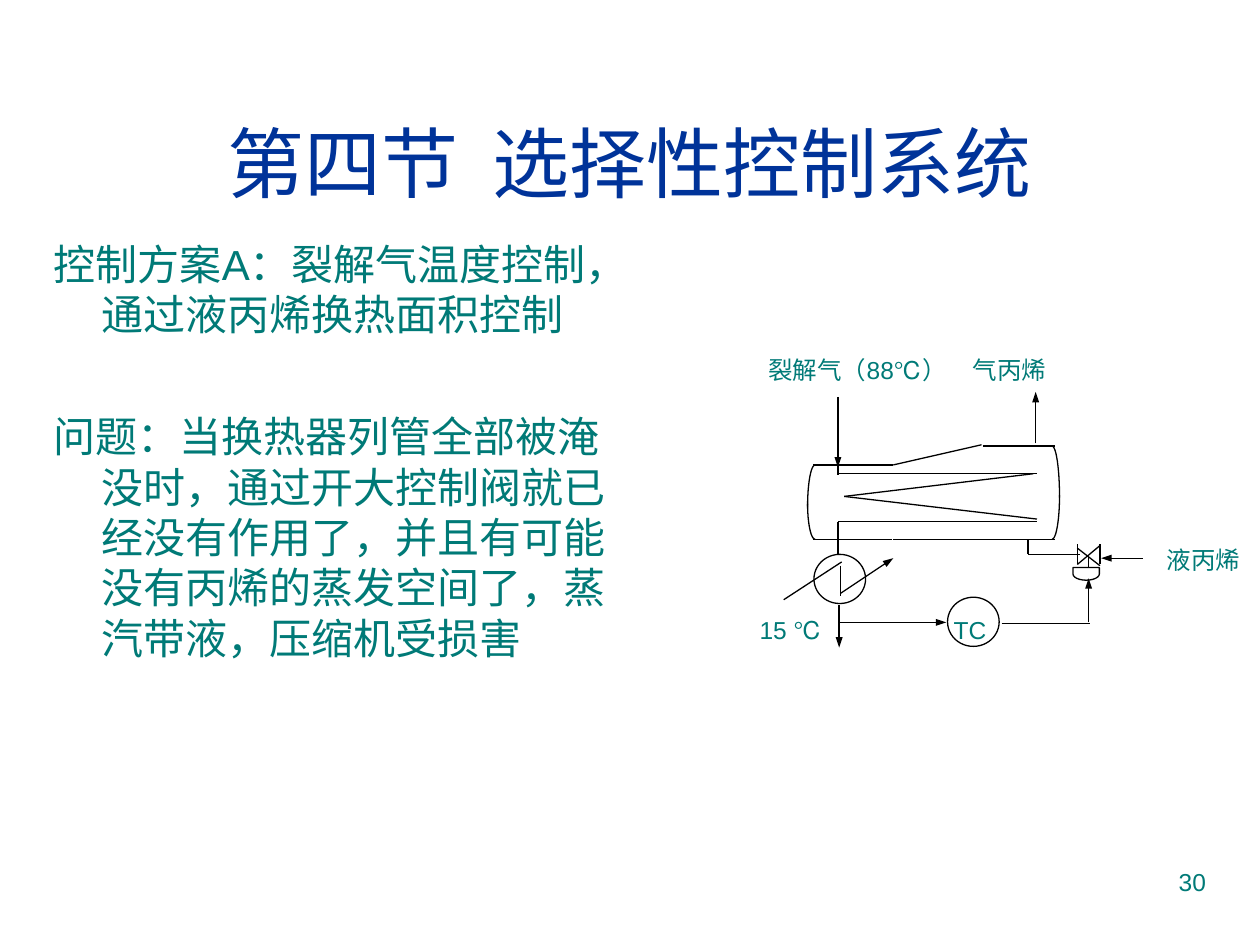
from math import cos, sin, pi
from lxml import etree
from pptx import Presentation
from pptx.dml.color import RGBColor
from pptx.enum.shapes import MSO_CONNECTOR as Link, MSO_SHAPE as Preset
from pptx.enum.text import MSO_ANCHOR as Anchor, PP_ALIGN as Align
from pptx.oxml.ns import qn
from pptx.util import Cm, Pt

NAVY, TEAL, BLACK, WHITE = "003399", "007A77", "000000", "FFFFFF"
FONT = "Arial"

# Text: all positions below are in inches
TITLE = "第四节  选择性控制系统"
BODY = [
    # text, space before in points
    ("控制方案A：裂解气温度控制，通过液丙烯换热面积控制", 0),
    ("问题：当换热器列管全部被淹没时，通过开大控制阀就已经没有作用了，"
     "并且有可能没有丙烯的蒸发空间了，蒸汽带液，压缩机受损害", 41),
]
PAGE = "30"
LABELS = [
    ("裂解气（88℃）", (6, 2.77, 1.62, 0.57)),
    ("气丙烯", (7.62, 2.77, 0.81, 0.34)),
    ("液丙烯", (9.16, 4.28, 0.81, 0.34)),
    ("15 ℃", (5.93, 4.83, 0.81, 0.34)),
    ("TC", (7.47, 4.83, 0.66, 0.34)),
]

# Heat exchanger: (x1, y1, x2, y2), flows end in an arrowhead
SHELL = [
    (7.08, 4.28, 6.45, 4.28), (7.09, 3.69, 6.45, 3.69),
    (7.81, 4.28, 8.37, 4.28), (7.8, 3.54, 8.37, 3.54),
    (7.09, 4.28, 7.86, 4.28), (7.79, 3.53, 7.09, 3.69),
]
# Quarter ellipses: side point (x, y), then end point (x, y)
SHELL_ENDS = [
    (6.41, 4, 6.47, 4.28), (6.41, 4.02, 6.47, 3.69),
    (8.41, 3.93, 8.35, 4.28), (8.41, 3.95, 8.35, 3.54),
]
TUBES = [
    (6.65, 3.69, 6.65, 3.77), (6.65, 3.76, 8.23, 3.76),
    (6.65, 4.14, 8.23, 4.14), (6.7, 3.94, 8.2, 3.76),
    (6.7, 3.94, 8.23, 4.12), (6.65, 4.14, 6.65, 4.42),
]
INSTRUMENTS = [(6.46, 4.4, 0.41, 0.39), (7.52, 4.74, 0.41, 0.39)]
SENSOR = [(6.22, 4.76, 6.68, 4.46), (6.67, 4.49, 6.67, 4.73)]
VALVE = [
    (8.73, 4.48, 8.73, 4.32), (8.55, 4.48, 8.55, 4.32),
    (8.73, 4.49, 8.55, 4.35), (8.55, 4.48, 8.73, 4.33),
    (8.64, 4.41, 8.64, 4.55),
]
ACTUATOR = (8.57, 4.45, 0.1, 0.21)
PIPES = [
    (8.16, 4.28, 8.16, 4.4), (8.16, 4.4, 8.57, 4.4),
    (7.95, 4.95, 8.65, 4.95),
]
FLOWS = [
    (6.65, 3.15, 6.65, 3.71),  # cracked gas in
    (6.67, 4.71, 7.09, 4.43),  # sensor pointer
    (6.66, 4.8, 6.66, 5.14),   # cooled gas out
    (6.67, 4.94, 7.51, 4.94),  # measurement to TC
    (9.07, 4.43, 8.74, 4.43),  # liquid propylene in
    (8.64, 4.94, 8.64, 4.59),  # TC to valve
    (8.22, 3.52, 8.22, 3.11),  # propylene vapour out
]


def lengths(values):
    return [Cm(value * 2.54) for value in values]


def color(hex_code):
    return RGBColor.from_string(hex_code)


def add_text(box, paragraphs, size, ink, align=Align.LEFT, anchor=Anchor.TOP, hanging=0):
    frame = slide.shapes.add_textbox(*lengths(box)).text_frame
    frame.word_wrap = True
    frame.vertical_anchor = anchor
    frame.text = "\n".join(text for text, _ in paragraphs)
    for paragraph, (_, space) in zip(frame.paragraphs, paragraphs):
        paragraph.alignment = align
        paragraph.space_before = Pt(space)
        if hanging:
            indent = Cm(hanging * 2.54)
            properties = paragraph._p.get_or_add_pPr()
            properties.set("marL", str(indent))
            properties.set("indent", str(-indent))
            properties.set("hangingPunct", "0")
        for run in paragraph.runs:
            run.font.name = FONT
            run.font.size = Pt(size)
            run.font.color.rgb = color(ink)


def outline(part):
    part.line.color.rgb = color(BLACK)
    part.line.width = Pt(0.75)


def add_lines(segments, arrow=False):
    for segment in segments:
        line = slide.shapes.add_connector(Link.STRAIGHT, *lengths(segment))
        outline(line)
        if arrow:
            etree.SubElement(line.line._get_or_add_ln(), qn("a:tailEnd"),
                             type="triangle", w="sm", len="med")
        etree.SubElement(line._element.spPr, qn("a:effectLst"))


def add_symbol(preset, box, rotation=0):
    symbol = slide.shapes.add_shape(preset, *lengths(box))
    symbol.rotation = rotation
    symbol.shadow.inherit = False
    symbol.fill.solid()
    symbol.fill.fore_color.rgb = color(WHITE)
    outline(symbol)


def add_quarter(side_x, side_y, end_x, end_y, steps=12):
    angles = [pi / 2 * step / steps for step in range(steps + 1)]
    points = [lengths((end_x + (side_x - end_x) * cos(a),
                       side_y + (end_y - side_y) * sin(a))) for a in angles]
    builder = slide.shapes.build_freeform(*points[0])
    builder.add_line_segments(points[1:], close=False)
    curve = builder.convert_to_shape()
    curve.shadow.inherit = False
    curve.fill.background()
    outline(curve)


deck = Presentation()
deck.slide_width, deck.slide_height = lengths((10, 7.5))
slide = deck.slides.add_slide(deck.slide_layouts[6])

# Page number, title and body
add_text((7.17, 6.83, 2.5, 0.52), [(PAGE, 0)], 14, TEAL, Align.RIGHT)
add_text((0.33, 0.66, 9.34, 1.25), [(TITLE, 0)], 44, NAVY, Align.CENTER, Anchor.MIDDLE)
add_text((0.33, 1.84, 4.84, 4.59), BODY, 24, TEAL, hanging=0.38)

# Exchanger shell and tubes
add_lines(SHELL + TUBES)
for quarter in SHELL_ENDS:
    add_quarter(*quarter)

# Instruments, valve and piping
for circle in INSTRUMENTS:
    add_symbol(Preset.OVAL, circle)
add_lines(SENSOR + VALVE)
add_symbol(Preset.FLOWCHART_DELAY, ACTUATOR, 90)
add_lines(PIPES)
add_lines(FLOWS, arrow=True)

# Labels
for label, box in LABELS:
    add_text(box, [(label, 0)], 14, TEAL)

deck.save("out.pptx")
